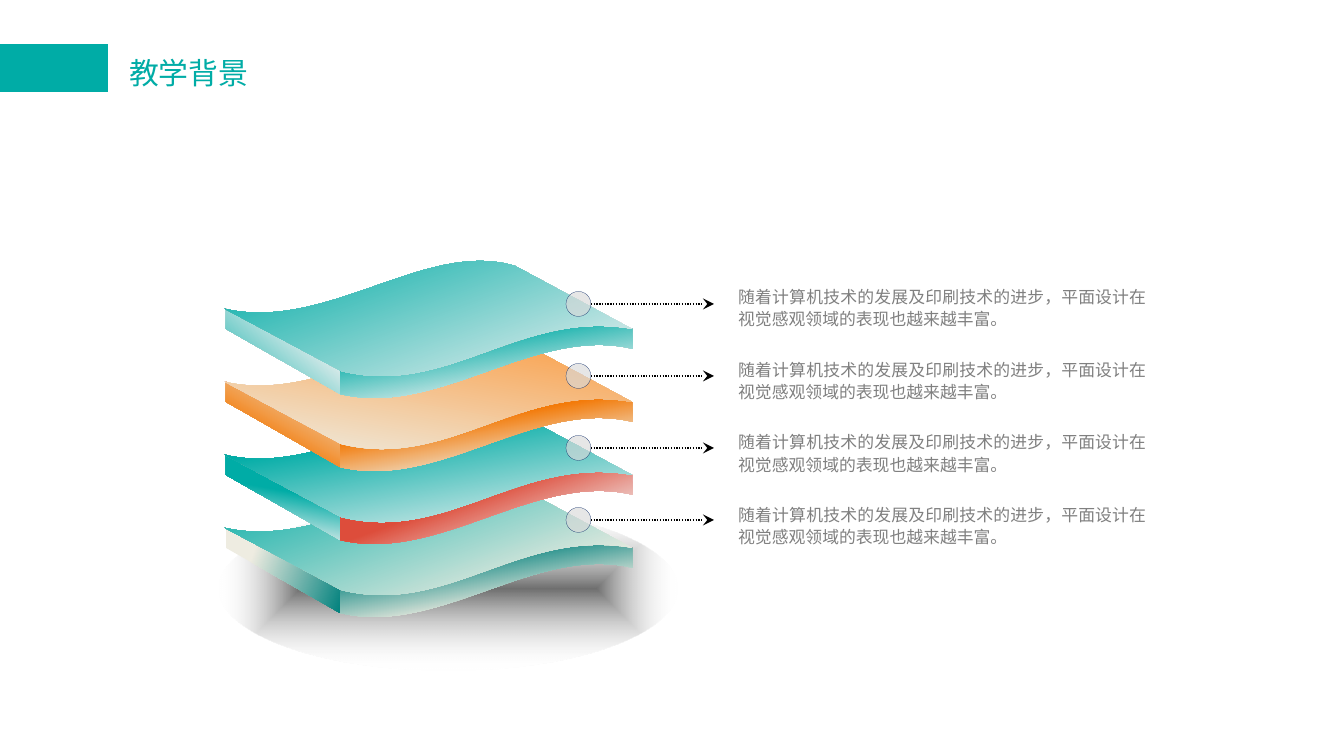
from lxml.etree import SubElement
from pptx import Presentation
from pptx.dml.color import RGBColor
from pptx.enum.dml import MSO_LINE
from pptx.enum.shapes import MSO_CONNECTOR, MSO_SHAPE
from pptx.enum.text import PP_ALIGN
from pptx.oxml import parse_xml
from pptx.oxml.ns import nsdecls, qn
from pptx.util import Emu, Pt

SCALE = 914400 / 134.4
COLORS = {
    "teal": "00ACA6", "deep_teal": "00817D", "red": "DD4D3B", "orange": "F37B09",
    "peach": "F9A656", "cream": "EEECE1", "mist": "F2F2F2", "dot": "D9D9D9",
    "navy": "002060", "gray": "808080", "black": "000000", "white": "FFFFFF",
}
BODY_FONT = "Noto Sans CJK SC"
BODY = "随着计算机技术的发展及印刷技术的进步，平面设计在视觉感观领域的表现也越来越丰富。"
FACE_BOXES = {"left": (1, 47, 115, 85), "front": (115, 63, 293, 73), "top": (0, 0, 407, 114)}
FACE_OUTLINES = {
    "left": [[(1, 47)], [(116, 108)], [(116, 112), (115, 124), (115, 132)], [(1, 67)],
             [(1, 61), (1, 54), (1, 47)]],
    "front": [[(115, 109)], [(220, 137), (311, 42), (407, 67)],
              [(407, 74), (408, 80), (408, 87)], [(310, 63), (214, 156), (115, 132)],
              [(115, 125), (115, 116), (115, 109)]],
    "top": [[(290, 4)], [(407, 67)], [(295, 47), (222, 136), (116, 109)], [(0, 47)],
            [(103, 70), (201, -23), (290, 4)]],
}
LAYERS = [
    {"left": ("mist", 25, "teal", 100, 130), "front": ("mist", 18, "teal", 76, 260),
     "top": ("mist", 0, "teal", 100, 250)},
    {"left": ("cream", 0, "orange", 69, 120), "front": ("cream", 20, "orange", 64, 260),
     "top": ("cream", 0, "peach", 86, 280)},
    {"left": ("mist", 8, "teal", 57, 280), "front": ("mist", 12, "red", 60, 250),
     "top": ("mist", 0, "teal", 73, 260)},
    {"left": ("cream", 25, "deep_teal", 100, 20), "front": ("cream", 28, "deep_teal", 76, 260),
     "top": ("cream", 14, "teal", 100, 250)},
]


def px(value):
    """Turn px into EMU."""
    return Emu(round(value * SCALE))


def rgb(name):
    """Look up a named colour."""
    return RGBColor.from_string(COLORS[name])


def add_plain_shape(shapes, kind, left, top, width, height):
    """Add a preset shape without shadow or outline."""
    shape = shapes.add_shape(kind, px(left), px(top), px(width), px(height))
    shape.shadow.inherit = False
    shape.line.fill.background()
    return shape


def set_gradient(shape, stops, direction):
    """Fill a shape with (position, colour, alpha) stops, all in percent."""
    stop_xml = "".join(
        f'<a:gs pos="{position * 1000}"><a:srgbClr val="{COLORS[color]}">'
        f'<a:alpha val="{alpha * 1000}"/></a:srgbClr></a:gs>'
        for position, color, alpha in stops)
    gradient = parse_xml(f'<a:gradFill {nsdecls("a")} rotWithShape="1">'
                         f'<a:gsLst>{stop_xml}</a:gsLst>{direction}</a:gradFill>')
    shape.fill.background()
    properties = shape._element.spPr
    properties.replace(properties.find(qn("a:noFill")), gradient)


def add_face(shapes, left, top, face):
    """Draw one face of a slab with straight and curved edges."""
    box_left, box_top, width, height = FACE_BOXES[face]
    x, y = left + box_left, top + box_top
    corners = [(x, y), (x + width, y), (x + width, y + height), (x, y + height)]
    builder = shapes.build_freeform(px(x), px(y))
    builder.add_line_segments([(px(a), px(b)) for a, b in corners[1:]], close=True)
    shape = builder.convert_to_shape()
    shape.shadow.inherit = False
    shape.line.fill.background()
    outline = next(shape._element.iter(qn("a:path")))
    for child in list(outline):
        outline.remove(child)
    for index, points in enumerate(FACE_OUTLINES[face]):
        tag = "a:moveTo" if index == 0 else "a:lnTo" if len(points) == 1 else "a:cubicBezTo"
        command = SubElement(outline, qn(tag))
        for a, b in points:
            SubElement(command, qn("a:pt"), x=str(px(a - box_left)), y=str(px(b - box_top)))
    SubElement(outline, qn("a:close"))
    return shape


def add_header(slide, left, top):
    """Draw the title band and the title."""
    band = add_plain_shape(slide.shapes, MSO_SHAPE.RECTANGLE, left, top, 108, 48)
    band.fill.solid()
    band.fill.fore_color.rgb = rgb("teal")
    title = slide.shapes.add_textbox(px(left + 119), px(top + 6), px(141), px(47))
    frame = title.text_frame
    frame.word_wrap = False
    frame.margin_left = frame.margin_right = px(10)
    frame.margin_top = frame.margin_bottom = px(5)
    paragraph = frame.paragraphs[0]
    paragraph.text = "教学背景"
    paragraph.font.name = "Calibri"
    paragraph.font.size = Pt(16)
    paragraph.font.color.rgb = rgb("teal")


def add_ground_shadow(slide, left, top, width, height):
    """Draw the soft ellipse under the stack."""
    ellipse = add_plain_shape(slide.shapes, MSO_SHAPE.OVAL, left, top, width, height)
    set_gradient(ellipse, [(0, "black", 56), (100, "white", 0)],
                 '<a:path path="shape"><a:fillToRect l="50000" t="50000" '
                 'r="50000" b="50000"/></a:path>')


def add_layer(slide, left, top, gradients):
    """Draw one wavy slab as a group of three faces."""
    group = slide.shapes.add_group_shape()
    for face, (start, start_at, end, end_at, angle) in gradients.items():
        shape = add_face(group.shapes, left, top, face)
        set_gradient(shape, [(start_at, start, 100), (end_at, end, 100)],
                     f'<a:lin ang="{angle * 60000}" scaled="0"/>')


def add_description(slide, left, top, width, height):
    """Write the text beside one layer."""
    box = slide.shapes.add_textbox(px(left), px(top), px(width), px(height))
    box.text_frame.word_wrap = True
    paragraph = box.text_frame.paragraphs[0]
    paragraph.text = BODY
    paragraph.alignment = PP_ALIGN.JUSTIFY
    paragraph.line_spacing = Pt(12)
    paragraph.font.name = BODY_FONT
    paragraph.font.size = Pt(9)
    paragraph.font.color.rgb = rgb("gray")
    defaults = paragraph._p.pPr.find(qn("a:defRPr"))
    SubElement(defaults, qn("a:ea"), typeface=BODY_FONT)


def add_pointer(slide, left, middle, size=25, length=123):
    """Draw a dot with a dotted arrow to its right."""
    start = left + size
    arrow = slide.shapes.add_connector(MSO_CONNECTOR.STRAIGHT, px(start), px(middle),
                                       px(start + length), px(middle))
    arrow.line.color.rgb = rgb("black")
    arrow.line.width = Pt(0.75)
    arrow.line.dash_style = MSO_LINE.ROUND_DOT
    properties = arrow._element.spPr
    SubElement(properties.find(qn("a:ln")), qn("a:tailEnd"), type="stealth")
    SubElement(properties, qn("a:effectLst"))
    dot = add_plain_shape(slide.shapes, MSO_SHAPE.OVAL, left, middle - size / 2, size, size)
    dot.fill.solid()
    dot.fill.fore_color.rgb = rgb("dot")
    color = dot._element.spPr.find(qn("a:solidFill"))[0]
    SubElement(color, qn("a:alpha"), val="65000")
    dot.line.color.rgb = rgb("navy")
    dot.line.width = Pt(0.1)


def main():
    """Build the slide and save it."""
    presentation = Presentation()
    presentation.slide_width, presentation.slide_height = px(1344), px(756)
    slide = presentation.slides.add_slide(presentation.slide_layouts[6])
    add_header(slide, 0, 44)
    add_ground_shadow(slide, 219, 507, 458, 163)
    for index, gradients in reversed(list(enumerate(LAYERS))):
        add_layer(slide, 225, 262 + 73 * index, gradients)
    for index in range(len(LAYERS)):
        add_description(slide, 725, 278 + 218 * index / 3, 434, 59)
        add_pointer(slide, 566, 304 + 72 * index)
    presentation.save("out.pptx")


if __name__ == "__main__":
    main()
